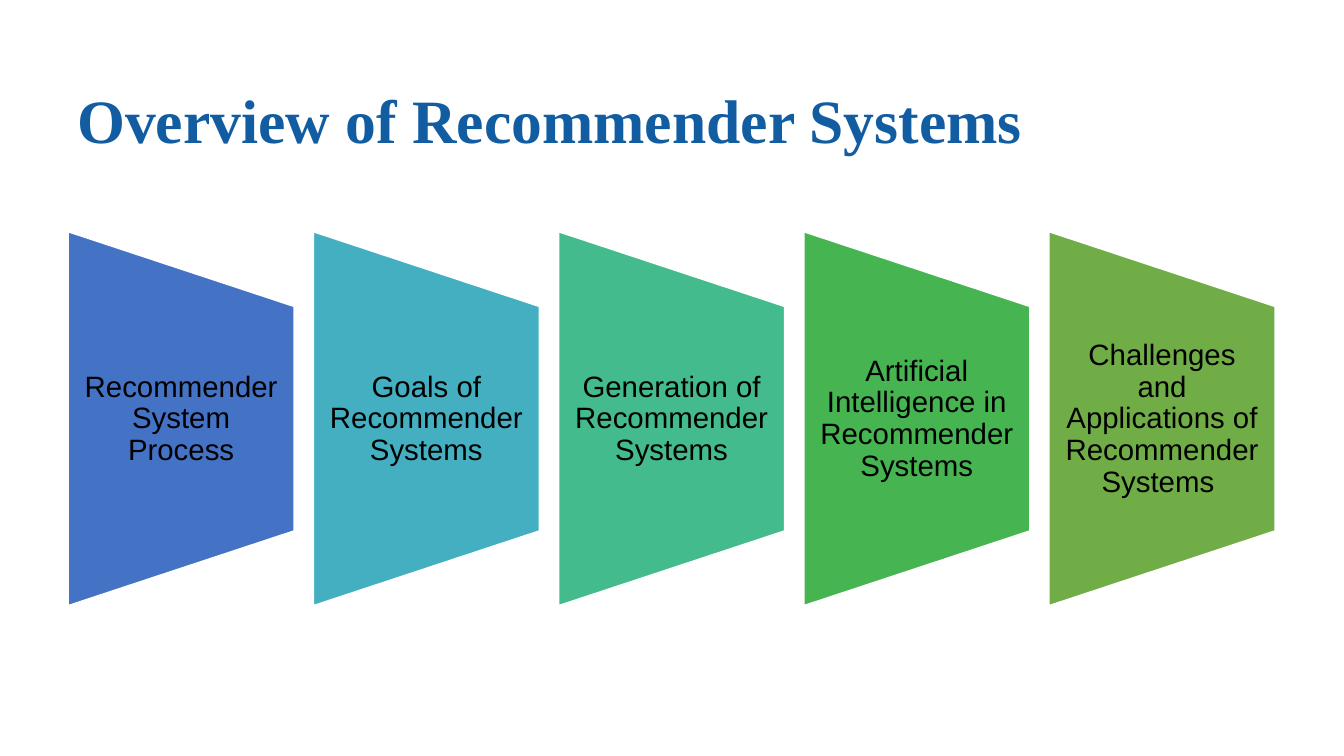
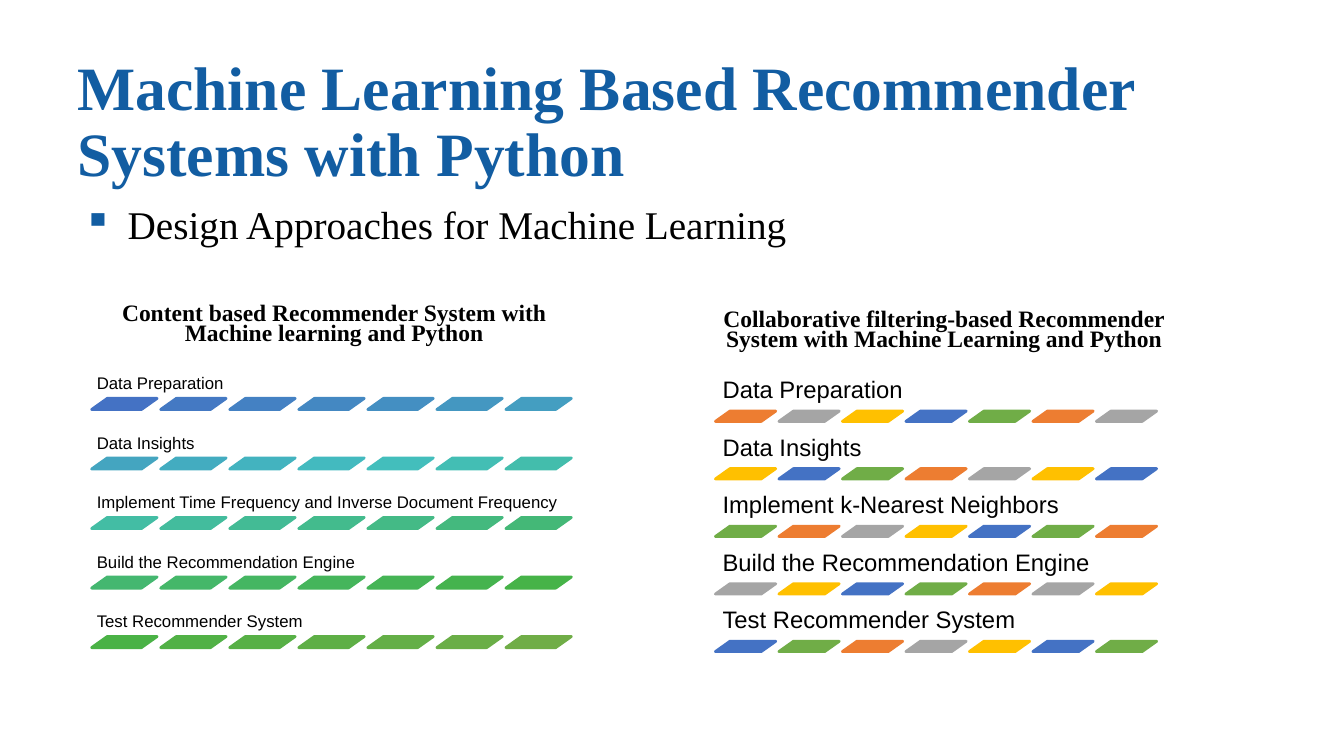
"""Build two slides on recommender systems: an overview and the design approaches."""
from colorsys import hls_to_rgb, rgb_to_hls

from lxml import etree
from pptx import Presentation
from pptx.dml.color import RGBColor
from pptx.enum.shapes import MSO_SHAPE
from pptx.enum.text import MSO_ANCHOR, PP_ALIGN
from pptx.oxml.ns import qn
from pptx.util import Cm, Pt

TRAPEZOID = MSO_SHAPE.FLOWCHART_MANUAL_OPERATION
PARALLELOGRAM = MSO_SHAPE.PARALLELOGRAM
TOP, MIDDLE, BOTTOM = MSO_ANCHOR.TOP, MSO_ANCHOR.MIDDLE, MSO_ANCHOR.BOTTOM
LEFT, CENTER = PP_ALIGN.LEFT, PP_ALIGN.CENTER

SERIF, SANS = "Times New Roman", "Arial"
TITLE_BLUE = RGBColor(0x12, 0x5D, 0xA2)
BLACK = RGBColor(0x00, 0x00, 0x00)
WHITE = RGBColor(0xFF, 0xFF, 0xFF)
BLUE = RGBColor(0x44, 0x72, 0xC4)
GREEN = RGBColor(0x70, 0xAD, 0x47)
ORANGE = RGBColor(0xED, 0x7D, 0x31)
GRAY = RGBColor(0xA5, 0xA5, 0xA5)
YELLOW = RGBColor(0xFF, 0xC0, 0x00)

TITLE_BOX = (1.7, 1.17, 30.48, 3.89)
TITLE_STYLE = dict(font=SERIF, size=44, color=TITLE_BLUE, bold=True, anchor=MIDDLE)
HEADING_STYLE = dict(font=SERIF, size=16.8, bold=True, align=CENTER,
                     line_spacing=0.7, space_before=10, margin_left=0.15)
DASHES = 7


def add_text(slide, text, box, font=SANS, size=12, color=BLACK, bold=False,
             align=LEFT, anchor=TOP, inset=(0.25, 0.13), line_spacing=0.9,
             space_before=0, margin_left=0, indent=0, bullet=None):
    shape = slide.shapes.add_textbox(*[Cm(length) for length in box])
    frame = shape.text_frame
    frame.word_wrap = True
    frame.vertical_anchor = anchor
    frame.margin_left = frame.margin_right = Cm(inset[0])
    frame.margin_top = frame.margin_bottom = Cm(inset[1])
    paragraph = frame.paragraphs[0]
    paragraph.alignment = align
    paragraph.line_spacing = line_spacing
    paragraph.space_before = Pt(space_before)
    run = paragraph.add_run()
    run.text = text
    run.font.name = font
    run.font.size = Pt(size)
    run.font.bold = bold
    run.font.color.rgb = color
    properties = paragraph._p.get_or_add_pPr()
    properties.set("marL", str(Cm(margin_left)))
    properties.set("indent", str(Cm(indent)))
    if bullet:
        bullet_color = etree.SubElement(properties, qn("a:buClr"))
        etree.SubElement(bullet_color, qn("a:srgbClr"), val=str(TITLE_BLUE))
        etree.SubElement(properties, qn("a:buChar"), char=bullet)


def add_block(slide, kind, box, fill, line):
    shape = slide.shapes.add_shape(kind, *[Cm(length) for length in box])
    shape.shadow.inherit = False
    shape.fill.solid()
    shape.fill.fore_color.rgb = fill
    shape.line.color.rgb = line
    shape.line.width = Pt(2)
    return shape


GRADIENT_STEPS = 68
start, end = [rgb_to_hls(*[part / 255 for part in color]) for color in (BLUE, GREEN)]
gradient = []
for step in range(GRADIENT_STEPS + 1):
    mixed = [a + (b - a) * step / GRADIENT_STEPS for a, b in zip(start, end)]
    gradient.append(RGBColor(*[round(part * 255) for part in hls_to_rgb(*mixed)]))

presentation = Presentation()
presentation.slide_width = Cm(33.87)
presentation.slide_height = Cm(19.05)
blank_layout = presentation.slide_layouts[6]

slide = presentation.slides.add_slide(blank_layout)
add_text(slide, "Overview of Recommender Systems", TITLE_BOX, **TITLE_STYLE)

topics = [
    "Recommender System Process",
    "Goals of Recommender Systems",
    "Generation of Recommender Systems",
    "Artificial Intelligence in Recommender Systems",
    "Challenges and Applications of Recommender Systems ",
]
topic_width, topic_height, topic_pitch, topic_middle = 5.73, 9.47, 6.18, 10.55
for index, (topic, color) in enumerate(zip(topics, gradient[::17])):
    left = 1.7 + index * topic_pitch
    turned_box = (left + (topic_width - topic_height) / 2, topic_middle - topic_width / 2,
                  topic_height, topic_width)
    add_block(slide, TRAPEZOID, turned_box, color, WHITE).rotation = 270
    add_text(slide, topic, (left, 7.72, topic_width, 5.69), size=21,
             align=CENTER, anchor=MIDDLE, inset=(0.38, 0))

slide = presentation.slides.add_slide(blank_layout)
add_text(slide, "Machine Learning Based Recommender Systems with Python",
         TITLE_BOX, **TITLE_STYLE)
add_text(slide, "Design Approaches for Machine Learning", (1.7, 5.05, 30.48, 1.68),
         font=SERIF, size=28, space_before=10, margin_left=1.27, indent=-1.12, bullet="▪")

approaches = [
    dict(heading="Content based Recommender System with Machine learning and Python",
         heading_at=(2.21, 7.57), method="Implement Time Frequency and Inverse Document Frequency",
         left=2.31, top=8.92, label=(12.32, 1.12), row_pitch=1.5, size=12, inset=0.13,
         dash=(1.65, 0.28), dash_pitch=1.74, colors=gradient[::2]),
    dict(heading="Collaborative filtering-based Recommender System with Machine Learning and Python",
         heading_at=(17.58, 7.72), method="Implement k-Nearest Neighbors",
         left=18.03, top=9.32, label=(11.35, 1.04), row_pitch=1.45, size=17, inset=0.18,
         dash=(1.52, 0.26), dash_pitch=1.6, colors=[ORANGE, GRAY, YELLOW, BLUE, GREEN]),
]
for approach in approaches:
    add_text(slide, approach["heading"], (*approach["heading_at"], 12.27, 1.68), **HEADING_STYLE)
    steps = ["Data Preparation", "Data Insights", approach["method"],
             "Build the Recommendation Engine", "Test Recommender System"]
    left, colors = approach["left"], approach["colors"]
    for row, step in enumerate(steps):
        top = approach["top"] + row * approach["row_pitch"]
        add_text(slide, step, (left, top, *approach["label"]), size=approach["size"],
                 anchor=BOTTOM, inset=(approach["inset"], approach["inset"]))
        dash_top = top + approach["label"][1]
        for column in range(DASHES):
            color = colors[(row * DASHES + column) % len(colors)]
            dash_box = (left + column * approach["dash_pitch"], dash_top, *approach["dash"])
            dash = add_block(slide, PARALLELOGRAM, dash_box, color, color)
            dash.adjustments[0] = 1.41

presentation.save("out.pptx")
